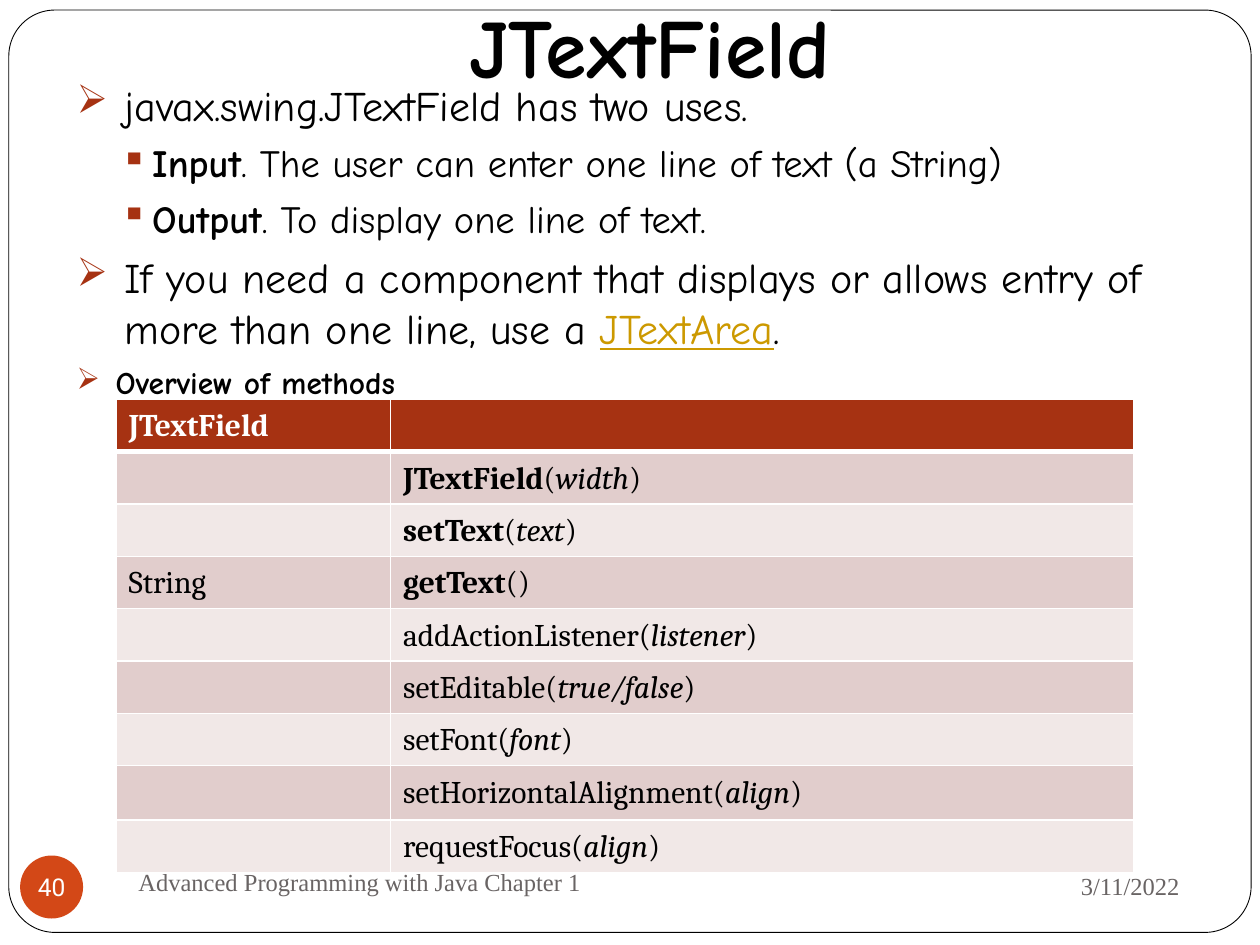
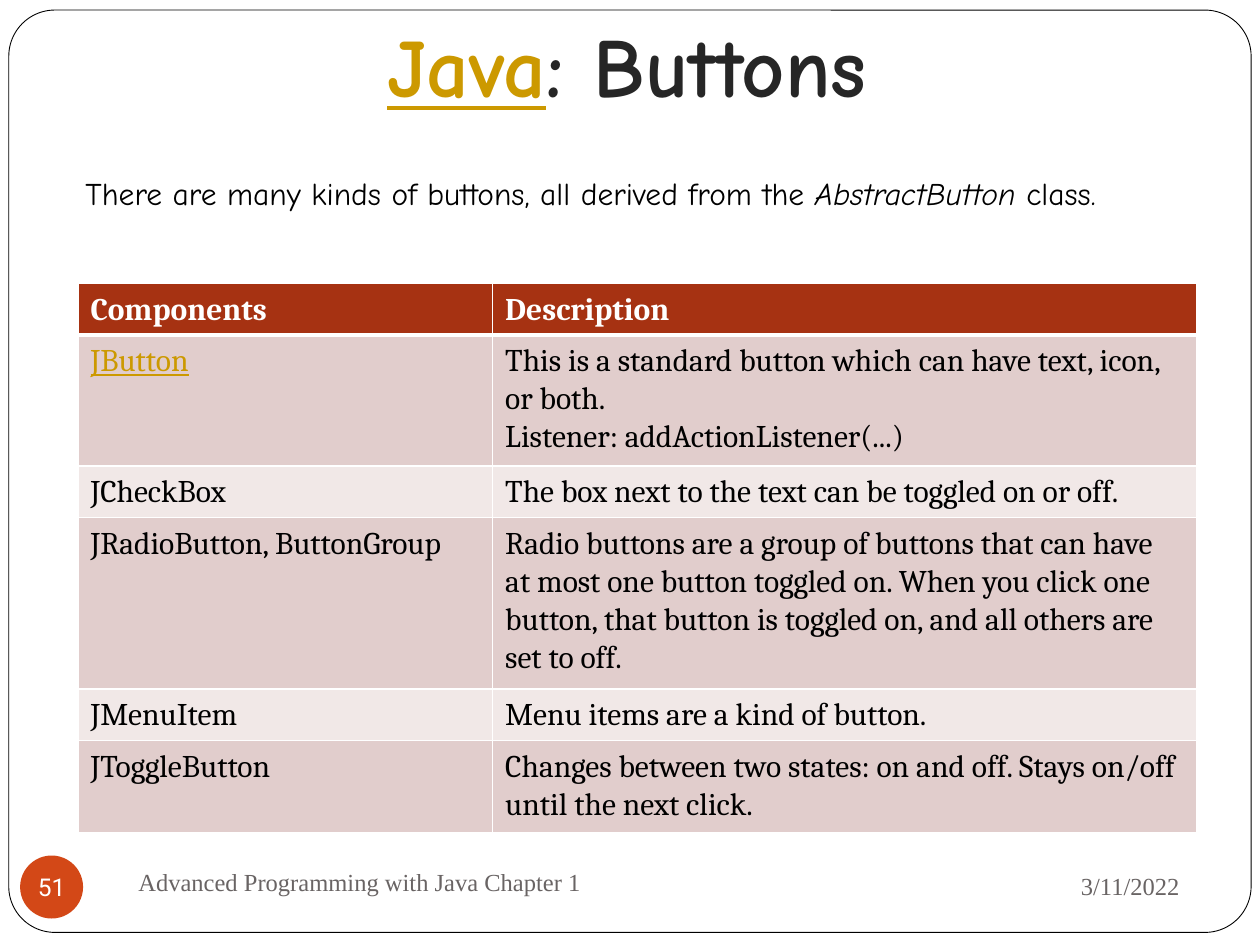
import lxml.etree
import pptx
import pptx.dml.color
import pptx.enum.shapes
import pptx.enum.text
import pptx.oxml.ns
import pptx.util

SHAPE = pptx.enum.shapes.MSO_SHAPE
ALIGN = pptx.enum.text.PP_ALIGN
ANCHOR = pptx.enum.text.MSO_ANCHOR

COLORS = {
    "white": "FFFFFF",
    "black": "000000",
    "charcoal": "262626",
    "footer": "696464",
    "badge": "D34817",
    "accent": "A63212",
    "link": "CC9900",
    "band_dark": "E1CDCC",
    "band_light": "F1E8E7",
}
HAND, BOOK, PLAIN, DIGIT = "Comic Neue", "Cambria", "Times New Roman", "Roboto"

WIDTH, HEIGHT = pptx.util.Inches(10), pptx.util.Inches(7.5)
COLUMNS = 100
UNIT = WIDTH // COLUMNS

BOLD = {"bold": True}
ITALIC = {"italic": True}
LINK = {"color": "link", "underline": True}

BULLETS = {
    "arrow": {"char": "➢", "indent": 0.38, "hang": 0.38, "before": 6, "level": 0},
    "square": {"char": "▪", "indent": 0.6, "hang": 0.25, "before": 5.5, "level": 1},
    "small": {"char": "➢", "indent": 0.31, "hang": 0.31, "before": 6, "level": 0},
}


def grid(*lengths):
    return [round(n * UNIT) for n in lengths]


def rgb(name):
    return pptx.dml.color.RGBColor.from_string(COLORS[name])


def add_text(p, text, size=18, font=HAND, color="black",
             bold=False, italic=False, underline=False):
    for i, line in enumerate(text.split("\n")):
        if i:
            p.add_line_break()
        r = p.add_run()
        r.text = line
        r.font.size = pptx.util.Pt(size)
        r.font.name = font
        r.font.bold = bold
        r.font.italic = italic
        r.font.underline = underline
        r.font.color.rgb = rgb(color)


def add_runs(p, runs, **base):
    for text, extra in runs:
        add_text(p, text, **{**base, **extra})


def add_box(s, area, anchor=ANCHOR.TOP):
    tf = s.shapes.add_textbox(*grid(*area)).text_frame
    tf.word_wrap = True
    tf.vertical_anchor = anchor
    return tf


def add_shape(s, kind, area, fill, line=None):
    sp = s.shapes.add_shape(kind, *grid(*area))
    sp.shadow.inherit = False
    sp.fill.solid()
    sp.fill.fore_color.rgb = rgb(fill)
    if line:
        sp.line.color.rgb = rgb(line)
        sp.line.width = pptx.util.Pt(0.5)
    else:
        sp.line.fill.background()
    return sp


def add_footer(s, number):
    p = add_box(s, (67.5, 67.7, 27.1, 5.2), ANCHOR.MIDDLE).paragraphs[0]
    p.alignment = ALIGN.RIGHT
    add_text(p, "3/11/2022", size=14, font=PLAIN, color="footer")
    p = add_box(s, (10, 67.5, 43.3, 5), ANCHOR.MIDDLE).paragraphs[0]
    add_text(p, "Advanced Programming with Java Chapter 1",
             size=14, font=PLAIN, color="footer")
    tf = add_shape(s, SHAPE.OVAL, (1.6, 67.9, 5, 5), "badge").text_frame
    tf.margin_left = tf.margin_right = tf.margin_top = tf.margin_bottom = 0
    tf.word_wrap = False
    tf.vertical_anchor = ANCHOR.MIDDLE
    p = tf.paragraphs[0]
    p.alignment = ALIGN.CENTER
    add_text(p, str(number), size=14, font=DIGIT, color="white")


def add_slide(prs, number, title, area):
    s = prs.slides.add_slide(prs.slide_layouts[5])
    frame = add_shape(s, SHAPE.ROUNDED_RECTANGLE, (0.7, 0.8, 98.6, 73.2),
                      "white", "black")
    frame.adjustments[0] = 0.05
    add_footer(s, number)
    sp = s.shapes.title
    frame.element.getparent().append(sp.element)
    sp.left, sp.top, sp.width, sp.height = grid(*area)
    tf = sp.text_frame
    tf.auto_size = pptx.enum.text.MSO_AUTO_SIZE.NONE
    tf.vertical_anchor = ANCHOR.MIDDLE
    p = tf.paragraphs[0]
    p.alignment = ALIGN.CENTER
    add_runs(p, title, size=48, bold=True)
    return s


def sub(parent, tag, **attrs):
    child = lxml.etree.SubElement(parent, pptx.oxml.ns.qn(tag))
    for key, value in attrs.items():
        child.set(key, str(value))
    return child


def set_bullet(p, char, indent, hang, before, level):
    p.level = level
    p.space_before = pptx.util.Pt(before)
    props = p._p.get_or_add_pPr()
    props.set("marL", str(pptx.util.Inches(indent)))
    props.set("indent", str(-pptx.util.Inches(hang)))
    sub(sub(props, "a:buClr"), "a:srgbClr", val=COLORS["accent"])
    sub(props, "a:buSzPct", val=95000)
    sub(props, "a:buChar", char=char)


def add_bullets(s, area, items):
    tf = add_box(s, area)
    for i, (kind, size, runs) in enumerate(items):
        p = tf.add_paragraph() if i else tf.paragraphs[0]
        set_bullet(p, **BULLETS[kind])
        add_runs(p, runs, size=size)


def set_borders(cell, row):
    props = cell._tc.get_or_add_tcPr()
    thick = {0: "a:lnB", 1: "a:lnT"}.get(row)
    for i, tag in enumerate(("a:lnL", "a:lnR", "a:lnT", "a:lnB")):
        width = pptx.util.Pt(2.95 if tag == thick else 0.91)
        line = sub(props, tag, w=width)
        sub(sub(line, "a:solidFill"), "a:srgbClr", val=COLORS["white"])
        props.insert(i, line)


def add_table(s, corner, widths, heights, rows, anchor):
    area = grid(*corner, sum(widths), sum(heights))
    table = s.shapes.add_table(len(rows), len(widths), *area).table
    for column, width in zip(table.columns, grid(*widths)):
        column.width = width
    for i, (row, height, texts) in enumerate(zip(table.rows, grid(*heights), rows)):
        row.height = height
        fill = "band_dark" if i % 2 else "band_light"
        for cell, runs in zip(row.cells, texts):
            cell.fill.solid()
            cell.fill.fore_color.rgb = rgb(fill if i else "accent")
            cell.vertical_anchor = anchor if i else ANCHOR.MIDDLE
            set_borders(cell, i)
            p = cell.text_frame.paragraphs[0]
            p.line_spacing = 1.05
            add_runs(p, runs, font=BOOK, bold=i == 0,
                     color="black" if i else "white")


def plain(text):
    return [(text, {})] if text else []


def method(name, argument="", result="", **style):
    if argument:
        call = [(name, style), ("(", {}), (argument, ITALIC), (")", {})]
    else:
        call = [(name, style), ("()", {})]
    return plain(result), call


def text_field_slide(prs):
    s = add_slide(prs, 40, plain("JTextField"), (7.6, -0.8, 87.9, 8.8))
    add_bullets(s, (5.1, 5.8, 87.5, 60), [
        ("arrow", 24, plain("javax.swing.JTextField has two uses.")),
        ("square", 22, [("Input", BOLD),
                        (". The user can enter one line of text (a String)", {})]),
        ("square", 22, [("Output", BOLD), (". To display one line of text.", {})]),
        ("arrow", 24, [("If you need a component that displays or allows entry of "
                        "more than one line, use a ", {}),
                       ("JTextArea", LINK), (".", {})]),
        ("small", 18, [("Overview of methods", BOLD)]),
    ])
    rows = [
        (plain("JTextField"), []),
        method("JTextField", "width", **BOLD),
        method("setText", "text", **BOLD),
        method("getText", result="String", **BOLD),
        method("addActionListener", "listener"),
        method("setEditable", "true/false"),
        method("setFont", "font"),
        method("setHorizontalAlignment", "align"),
        method("requestFocus", "align"),
    ]
    heights = [3.9] * 7 + [4.3, 3.9]
    add_table(s, (9.2, 31.7), (21.8, 59), heights, rows, ANCHOR.MIDDLE)


def buttons_slide(prs):
    title = [("Java", LINK), (": Buttons", {"color": "charcoal"})]
    s = add_slide(prs, 51, title, (5.8, 0, 87.9, 10.2))
    rows = [
        (plain("Components"), plain("Description")),
        ([("JButton", LINK)],
         plain("This is a standard button which can have text, icon, or both.\n"
               "Listener: addActionListener(...)")),
        (plain("JCheckBox"),
         plain("The box next to the text can be toggled on or off.")),
        (plain("JRadioButton, ButtonGroup"),
         plain("Radio buttons are a group of buttons that can have at most one "
               "button toggled on. When you click one button, that button is "
               "toggled on, and all others are set to off.")),
        (plain("JMenuItem"), plain("Menu items are a kind of button.")),
        (plain("JToggleButton"),
         plain("Changes between two states: on and off. Stays on/off until the "
               "next click.")),
    ]
    heights = (4.1, 10.4, 4.1, 13.6, 4.1, 7.3)
    add_table(s, (6.2, 22.5), (32.9, 55.9), heights, rows, ANCHOR.TOP)
    p = add_box(s, (5.8, 13.3, 85.8, 7.1)).paragraphs[0]
    add_runs(p, [("There are many kinds of buttons, all derived from the ", {}),
                 ("AbstractButton", ITALIC), (" class.", {})])


def main():
    prs = pptx.Presentation()
    prs.slide_width, prs.slide_height = WIDTH, HEIGHT
    text_field_slide(prs)
    buttons_slide(prs)
    prs.save("out.pptx")


main()
